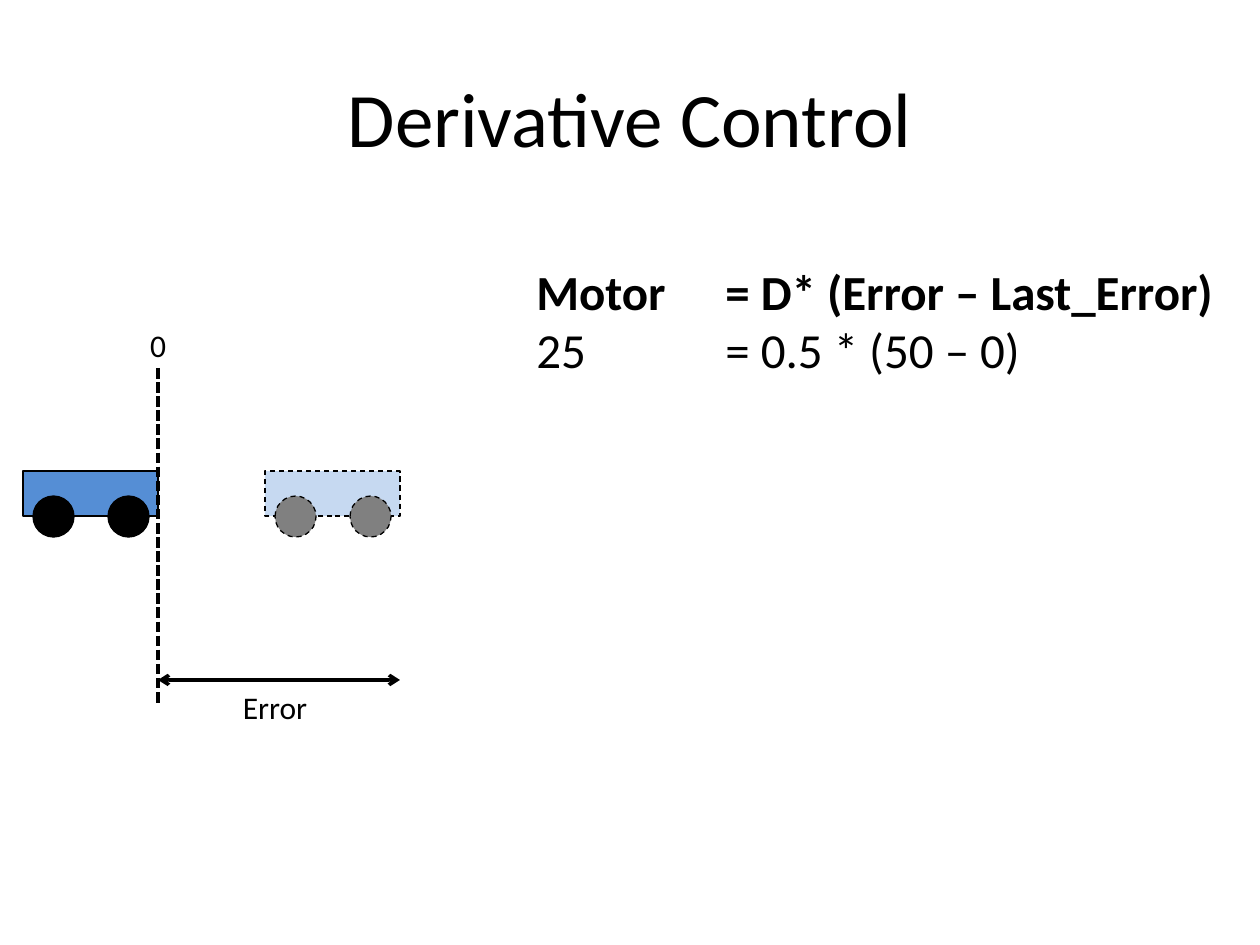
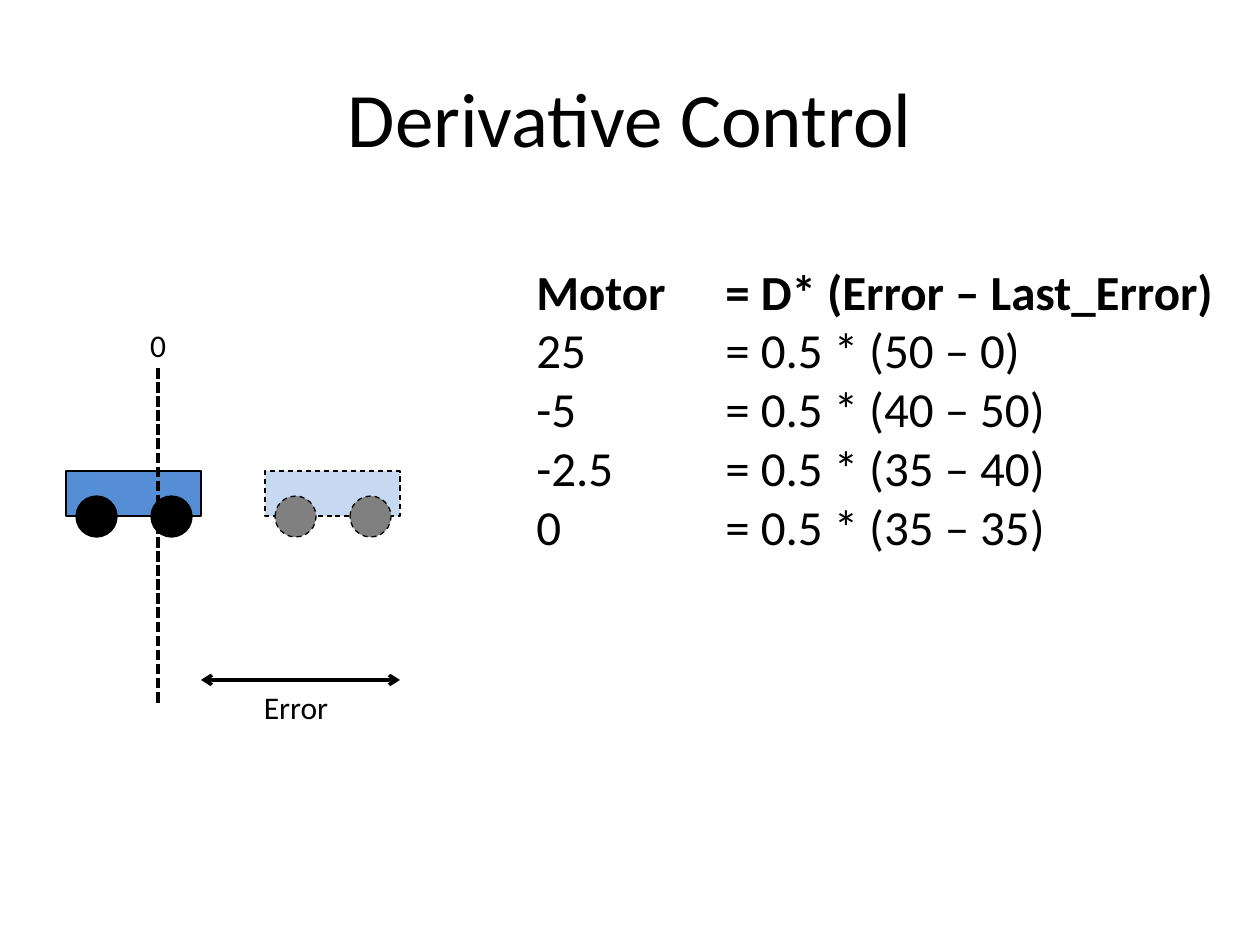
from dataclasses import dataclass

from lxml import etree
from pptx import Presentation
from pptx import util as u
from pptx.dml.color import RGBColor
from pptx.enum import dml, shapes, text
from pptx.oxml.ns import qn


@dataclass(frozen=True)
class Theme:
    font: str = "Calibri"
    ink: str = "000000"
    robot: str = "558ED5"
    ghost: str = "C6D9F1"
    ghost_wheel: str = "808080"
    title: int = 44
    formula: int = 28
    label: int = 18
    thin: float = 0.75
    thick: float = 2


THEME = Theme()
PX_PER_INCH = 126

# Track geometry, in px
ZERO_X = 158
ROBOT_Y, ROBOT_W, ROBOT_H = 471, 135, 45
WHEEL_OFFSETS, WHEEL_DROP, WHEEL_SIZE = (10, 85), 25, 41
START_X = 265
ARROW_Y = 680

FORMULA = "Motor\t= D* (Error – Last_Error)"
STEPS = [
    "25\t= 0.5 * (50 – 0)",
    "-5\t= 0.5 * (40 – 50)",
    "-2.5\t= 0.5 * (35 – 40)",
    "0\t= 0.5 * (35 – 35)",
]


def px(n):
    return u.Emu(round(n * u.Inches(1) / PX_PER_INCH))


def box(*lengths):
    return [px(n) for n in lengths]


def add_text(slide, lines, at, size, align=text.PP_ALIGN.LEFT,
             anchor=text.MSO_ANCHOR.TOP, bold_first=False, tab=None):
    tf = slide.shapes.add_textbox(*box(*at)).text_frame
    tf.word_wrap = True
    tf.vertical_anchor = anchor
    for i, line in enumerate(lines):
        p = tf.paragraphs[0] if i == 0 else tf.add_paragraph()
        p.alignment = align
        if tab:
            tabs = etree.SubElement(p._p.get_or_add_pPr(), qn("a:tabLst"))
            etree.SubElement(tabs, qn("a:tab"), pos=str(px(tab)), algn="l")
        r = p.add_run()
        r.text = line
        r.font.name = THEME.font
        r.font.size = u.Pt(size)
        r.font.bold = bold_first and i == 0
        r.font.color.rgb = RGBColor.from_string(THEME.ink)


def style_line(line, width, dash=None):
    line.color.rgb = RGBColor.from_string(THEME.ink)
    line.width = u.Pt(width)
    if dash:
        line.dash_style = dash


def add_part(group, kind, at, fill, dash):
    sp = group.shapes.add_shape(kind, *box(*at))
    sp.shadow.inherit = False
    sp.fill.solid()
    sp.fill.fore_color.rgb = RGBColor.from_string(fill)
    style_line(sp.line, THEME.thin, dash)


def add_robot(slide, x, body, wheel, dash=None):
    group = slide.shapes.add_group_shape()
    add_part(group, shapes.MSO_SHAPE.RECTANGLE,
             (x, ROBOT_Y, ROBOT_W, ROBOT_H), body, dash)
    for dx in WHEEL_OFFSETS:
        add_part(group, shapes.MSO_SHAPE.OVAL,
                 (x + dx, ROBOT_Y + WHEEL_DROP, WHEEL_SIZE, WHEEL_SIZE),
                 wheel, dash)


def add_line(slide, start, end, dash=None, arrows=False):
    c = slide.shapes.add_connector(shapes.MSO_CONNECTOR.STRAIGHT,
                                   *box(*start, *end))
    style_line(c.line, THEME.thick, dash)
    if arrows:
        ln = c.line._get_or_add_ln()
        for end_tag in ("a:headEnd", "a:tailEnd"):
            etree.SubElement(ln, qn(end_tag), type="arrow")
    etree.SubElement(c._element.spPr, qn("a:effectLst"))


def add_control_slide(prs, robot_x, steps):
    slide = prs.slides.add_slide(prs.slide_layouts[6])
    center = text.PP_ALIGN.CENTER

    # Title
    add_text(slide, ["Derivative Control"], (63, 38, 1134, 158), THEME.title,
             align=center, anchor=text.MSO_ANCHOR.MIDDLE)

    # Starting position and current position
    add_robot(slide, START_X, THEME.ghost, THEME.ghost_wheel,
              dml.MSO_LINE.DASH)
    add_robot(slide, robot_x, THEME.robot, THEME.ink)

    # Zero mark
    add_line(slide, (ZERO_X, 368), (ZERO_X, 703), dash=dml.MSO_LINE.SQUARE_DOT)
    add_text(slide, ["0"], (ZERO_X - 53, 320, 106, 50), THEME.label,
             align=center)

    # Error between the two robot fronts
    front, start_front = robot_x + ROBOT_W, START_X + ROBOT_W
    add_line(slide, (start_front, ARROW_Y), (front, ARROW_Y), arrows=True)
    add_text(slide, ["Error"],
             ((front + start_front) // 2 - 89, ARROW_Y + 2, 170, 50),
             THEME.label, align=center)

    # Motor calculation
    add_text(slide, [FORMULA, *steps], (524, 255, 716, 642), THEME.formula,
             bold_first=True, tab=189)


def main():
    prs = Presentation()
    prs.slide_width, prs.slide_height = u.Inches(10), u.Inches(7.5)
    add_control_slide(prs, 23, STEPS[:1])
    add_control_slide(prs, 66, STEPS)
    prs.save("out.pptx")


if __name__ == "__main__":
    main()
